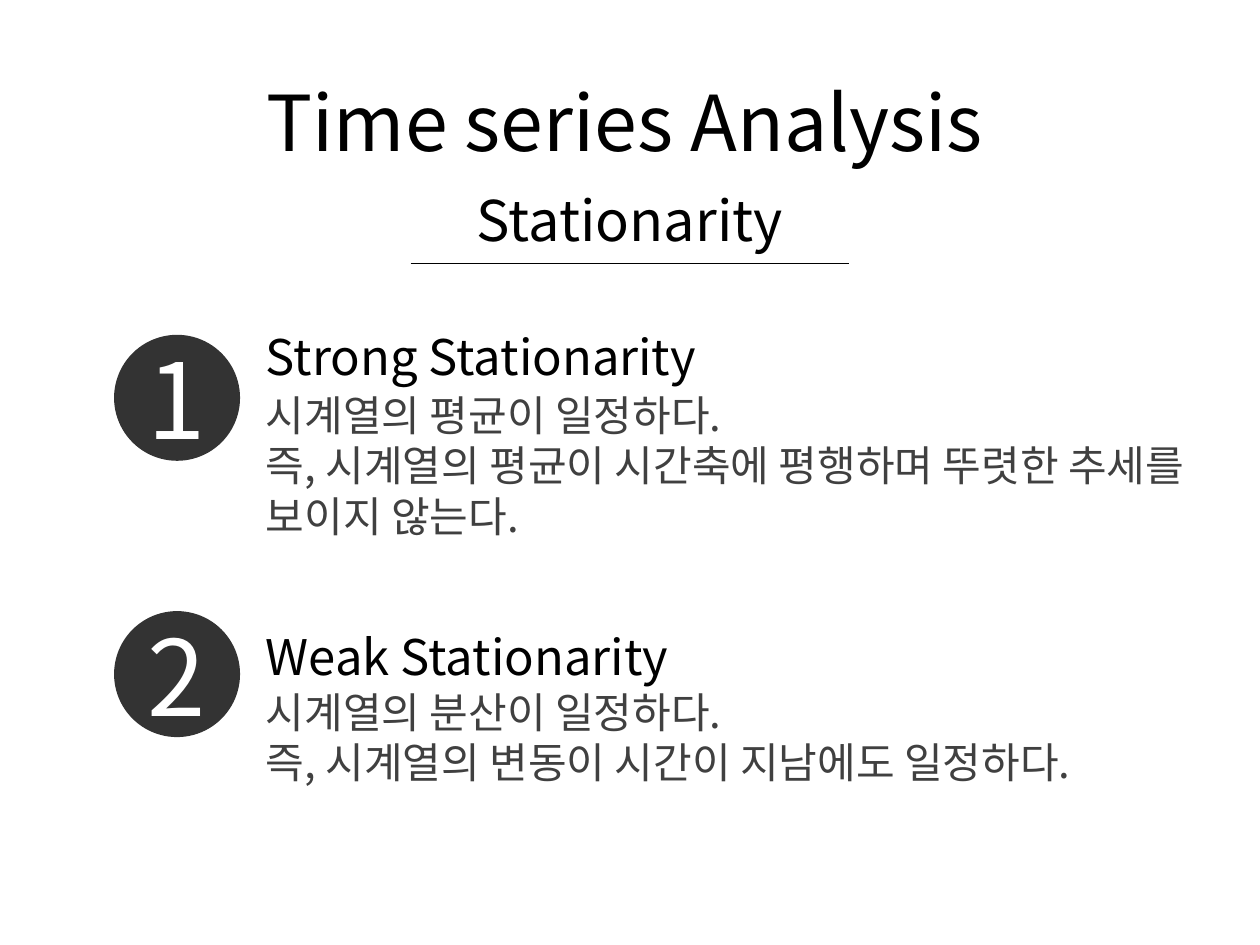
from dataclasses import dataclass

from lxml.etree import SubElement
from pptx import Presentation
from pptx.dml.color import RGBColor
from pptx.enum.shapes import MSO_CONNECTOR, MSO_SHAPE
from pptx.enum.text import MSO_ANCHOR, PP_ALIGN
from pptx.oxml.ns import qn
from pptx.util import Cm, Pt


@dataclass(frozen=True)
class Theme:
    font: str = "Noto Sans CJK KR"
    black: RGBColor = RGBColor(0, 0, 0)
    gray: RGBColor = RGBColor(0x40, 0x40, 0x40)
    white: RGBColor = RGBColor(255, 255, 255)
    title: int = 44
    subtitle: int = 32
    heading: int = 28
    body: int = 24
    number: int = 60


THEME = Theme()
TEXT_LEFT = 5.11

# number, circle top, heading, heading top, body lines, body top
SECTIONS = [
    ("1", 6.75, "Strong Stationarity", 6.35,
     ["시계열의 평균이 일정하다.",
      "즉, 시계열의 평균이 시간축에 평행하며 뚜렷한 추세를 보이지 않는다."], 7.7),
    ("2", 12.32, "Weak Stationarity", 12.4,
     ["시계열의 분산이 일정하다.",
      "즉, 시계열의 변동이 시간이 지남에도 일정하다."], 13.18),
]


def write(shape, lines, size, color, align=PP_ALIGN.LEFT):
    tf = shape.text_frame
    tf.word_wrap = True
    tf.vertical_anchor = MSO_ANCHOR.MIDDLE
    for i, line in enumerate(lines):
        p = tf.add_paragraph() if i else tf.paragraphs[0]
        p.alignment = align
        r = p.add_run()
        r.text = line
        r.font.size = Pt(size)
        r.font.name = THEME.font
        r.font.color.rgb = color
        # Hangul takes its typeface from the East Asian font slot
        SubElement(r.font._element, qn("a:ea"), typeface=THEME.font)


def add_title(s, text):
    title = s.shapes.title
    title.left, title.top, title.width, title.height = Cm(1.17), Cm(0.84), Cm(22.86), Cm(3.18)
    write(title, [text], THEME.title, THEME.black, PP_ALIGN.CENTER)


def add_text(s, left, top, width, height, lines, size, color, align=PP_ALIGN.LEFT):
    box = s.shapes.add_textbox(Cm(left), Cm(top), Cm(width), Cm(height))
    write(box, lines, size, color, align)


def add_rule(s, left, right, y):
    line = s.shapes.add_connector(MSO_CONNECTOR.STRAIGHT, Cm(left), Cm(y), Cm(right), Cm(y))
    line.line.color.rgb = THEME.black
    line.line.width = Pt(0.75)
    SubElement(line._element.spPr, qn("a:effectLst"))


def add_number(s, top, number):
    """Number in a circle of 80 % opaque black."""
    sp = s.shapes.add_shape(MSO_SHAPE.OVAL, Cm(2.3), Cm(top), Cm(2.54), Cm(2.54))
    sp.shadow.inherit = False
    sp.fill.solid()
    sp.fill.fore_color.rgb = THEME.black
    color = sp._element.spPr.find(qn("a:solidFill")).find(qn("a:srgbClr"))
    SubElement(color, qn("a:alpha"), val="80000")
    sp.line.fill.background()
    write(sp, [number], THEME.number, THEME.white, PP_ALIGN.CENTER)


def main():
    prs = Presentation()
    prs.slide_width, prs.slide_height = Cm(25.4), Cm(19.05)
    s = prs.slides.add_slide(prs.slide_layouts[5])
    add_title(s, "Time series Analysis")
    add_text(s, 8.5, 3.53, 8.4, 1.78, ["Stationarity"],
             THEME.subtitle, THEME.black, PP_ALIGN.CENTER)
    add_rule(s, 8.28, 17.12, 5.31)
    for number, circle_top, heading, heading_top, body, body_top in SECTIONS:
        add_number(s, circle_top, number)
        add_text(s, TEXT_LEFT, heading_top, 16.61, 1.65, [heading], THEME.heading, THEME.black)
        add_text(s, TEXT_LEFT, body_top, 20.29, 3.35, body, THEME.body, THEME.gray)
    prs.save("out.pptx")


if __name__ == "__main__":
    main()
